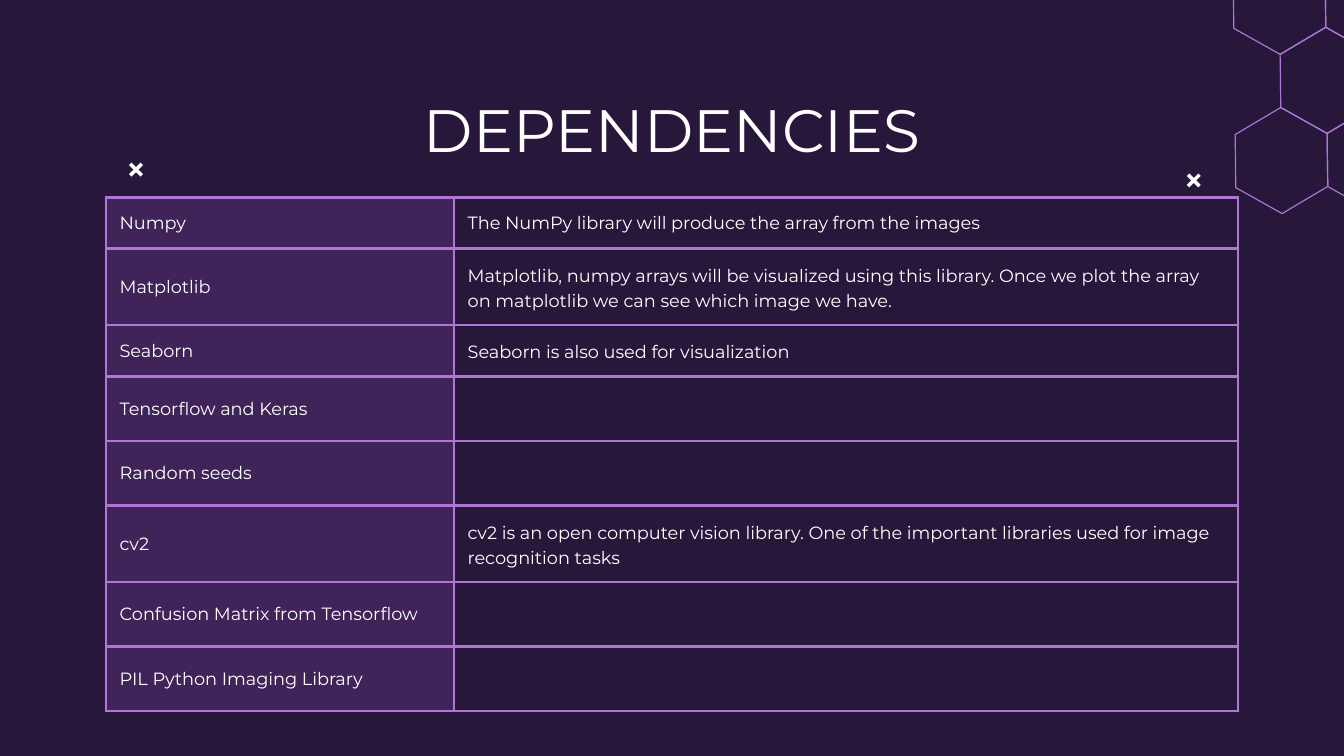
from math import cos, pi, radians, sin, sqrt

from lxml import etree
from pptx import Presentation
from pptx.dml.color import RGBColor
from pptx.enum.shapes import MSO_CONNECTOR
from pptx.enum.text import MSO_ANCHOR, PP_ALIGN
from pptx.oxml.ns import qn
from pptx.util import Inches, Pt

NIGHT = RGBColor(0x27, 0x17, 0x3A)
PURPLE = RGBColor(0x73, 0x3C, 0x9B)
LILAC = RGBColor(0xAE, 0x77, 0xD6)
WHITE = RGBColor(0xFF, 0xFF, 0xFF)

STRAIGHT = MSO_CONNECTOR.STRAIGHT
MIDDLE, TOP = MSO_ANCHOR.MIDDLE, MSO_ANCHOR.TOP
LEFT, CENTER = PP_ALIGN.LEFT, PP_ALIGN.CENTER

COLUMNS, ROWS = 100, 56.25
MARGIN = 7.9

DEPENDENCIES = [
    ("Numpy", "The NumPy library will produce the array from the images", 3.8),
    ("Matplotlib", "Matplotlib, numpy arrays will be visualized using this library. "
     "Once we plot the array on matplotlib we can see which image we have.", 5.7),
    ("Seaborn", "Seaborn is also used for visualization", 3.8),
    ("Tensorflow and Keras", "", 4.8),
    ("Random seeds", "", 4.8),
    ("cv2", "cv2 is an open computer vision library. One of the important libraries "
     "used for image recognition tasks", 5.7),
    ("Confusion Matrix from Tensorflow", "", 4.8),
    ("PIL Python Imaging Library", "", 4.8),
]


def grid(cells):
    return Inches(cells / 10)


def write(tf, text, size, align=LEFT, spacing=1.0, color=WHITE, font="Montserrat"):
    p = tf.paragraphs[0]
    p.alignment, p.line_spacing = align, spacing
    r = p.add_run()
    r.text = text
    r.font.size, r.font.name = Pt(size), font
    r.font.color.rgb = color


class Deck:
    """Draws styled elements on the current slide, on a grid of square cells."""

    def __init__(self):
        self.prs = Presentation()
        self.prs.slide_width, self.prs.slide_height = grid(COLUMNS), grid(ROWS)
        self.s = None

    def slide(self):
        self.s = self.prs.slides.add_slide(self.prs.slide_layouts[6])
        fill = self.s.background.fill
        fill.solid()
        fill.fore_color.rgb = NIGHT

    def title(self, text, x, y, w, h):
        tf = self.s.shapes.add_textbox(*map(grid, (x, y, w, h))).text_frame
        tf.word_wrap, tf.vertical_anchor = True, TOP
        tf.margin_left = tf.margin_right = tf.margin_top = tf.margin_bottom = grid(1)
        write(tf, text, 32, CENTER)

    def hexagon(self, x, y, radius, tilt):
        angles = [radians(30 + 60 * k - tilt) for k in range(6)]
        points = [(grid(x + radius * cos(a)), grid(y + radius * sin(a))) for a in angles]
        builder = self.s.shapes.build_freeform(*points[0])
        builder.add_line_segments(points[1:], close=True)
        sp = builder.convert_to_shape()
        sp.shadow.inherit = False
        sp.fill.background()
        sp.line.color.rgb, sp.line.width = LILAC, Pt(0.61)

    def honeycomb(self, x, y, radius, tilt, places):
        step = radius * sqrt(3)
        across, up = -radians(tilt), -radians(tilt) - pi / 3
        for c, r in places:
            self.hexagon(x + step * (c * cos(across) + r * cos(up)),
                         y + step * (c * sin(across) + r * sin(up)), radius, tilt)

    def cross(self, x, y, size=0.85):
        for start, end in ((y + size, y), (y, y + size)):
            line = self.s.shapes.add_connector(
                STRAIGHT, *map(grid, (x, start, x + size, end)))
            line.line.color.rgb, line.line.width = WHITE, Pt(1.84)
            etree.SubElement(line._element.spPr, qn("a:effectLst"))

    def cell_border(self, cell):
        tc_pr = cell._tc.get_or_add_tcPr()
        for side in ("a:lnL", "a:lnR", "a:lnT", "a:lnB"):
            ln = etree.SubElement(tc_pr, qn(side), w=str(Pt(1.5)))
            fill = etree.SubElement(ln, qn("a:solidFill"))
            etree.SubElement(fill, qn("a:srgbClr"), val=str(LILAC))

    def cell_fill(self, cell, color, opacity):
        cell.fill.solid()
        cell.fill.fore_color.rgb = color
        clr = cell._tc.tcPr.find(".//" + qn("a:solidFill") + "[last()]/" + qn("a:srgbClr"))
        clr = cell._tc.tcPr.find(qn("a:solidFill")).find(qn("a:srgbClr"))
        etree.SubElement(clr, qn("a:alpha"), val=str(opacity * 1000))

    def cell_text(self, cell, text, spacing):
        cell.vertical_anchor = MIDDLE
        cell.margin_left = cell.margin_right = grid(1)
        cell.margin_top = cell.margin_bottom = grid(1)
        write(cell.text_frame, text, 9.5, spacing=spacing)

    def table(self, rows, x, y, widths):
        height = sum(row[-1] for row in rows)
        table = self.s.shapes.add_table(
            len(rows), len(widths), *map(grid, (x, y, sum(widths), height))).table
        table.first_row = table.horz_banding = False
        for column, width in zip(table.columns, widths):
            column.width = grid(width)
        for i, (*texts, row_height) in enumerate(rows):
            table.rows[i].height = grid(row_height)
            for j, text in enumerate(texts):
                cell = table.cell(i, j)
                self.cell_border(cell)
                if j == 0:
                    self.cell_fill(cell, PURPLE, 33)
                else:
                    cell.fill.background()
                if text:
                    self.cell_text(cell, text, 1.15 if i and j else 1.0)


def main():
    deck = Deck()
    deck.slide()
    deck.honeycomb(95.35, 11.95, 3.95, 0.7, [(0, 0), (1, 0), (0, 1), (-1, 2), (0, 2)])
    deck.title("DEPENDENCIES", MARGIN, 5.9, COLUMNS - 2 * MARGIN, 6.3)
    deck.table(DEPENDENCIES, MARGIN, 14.7, (25.9, 58.3))
    deck.cross(88.4, 13)
    deck.cross(9.7, 12.2)
    deck.prs.save("out.pptx")


if __name__ == "__main__":
    main()
